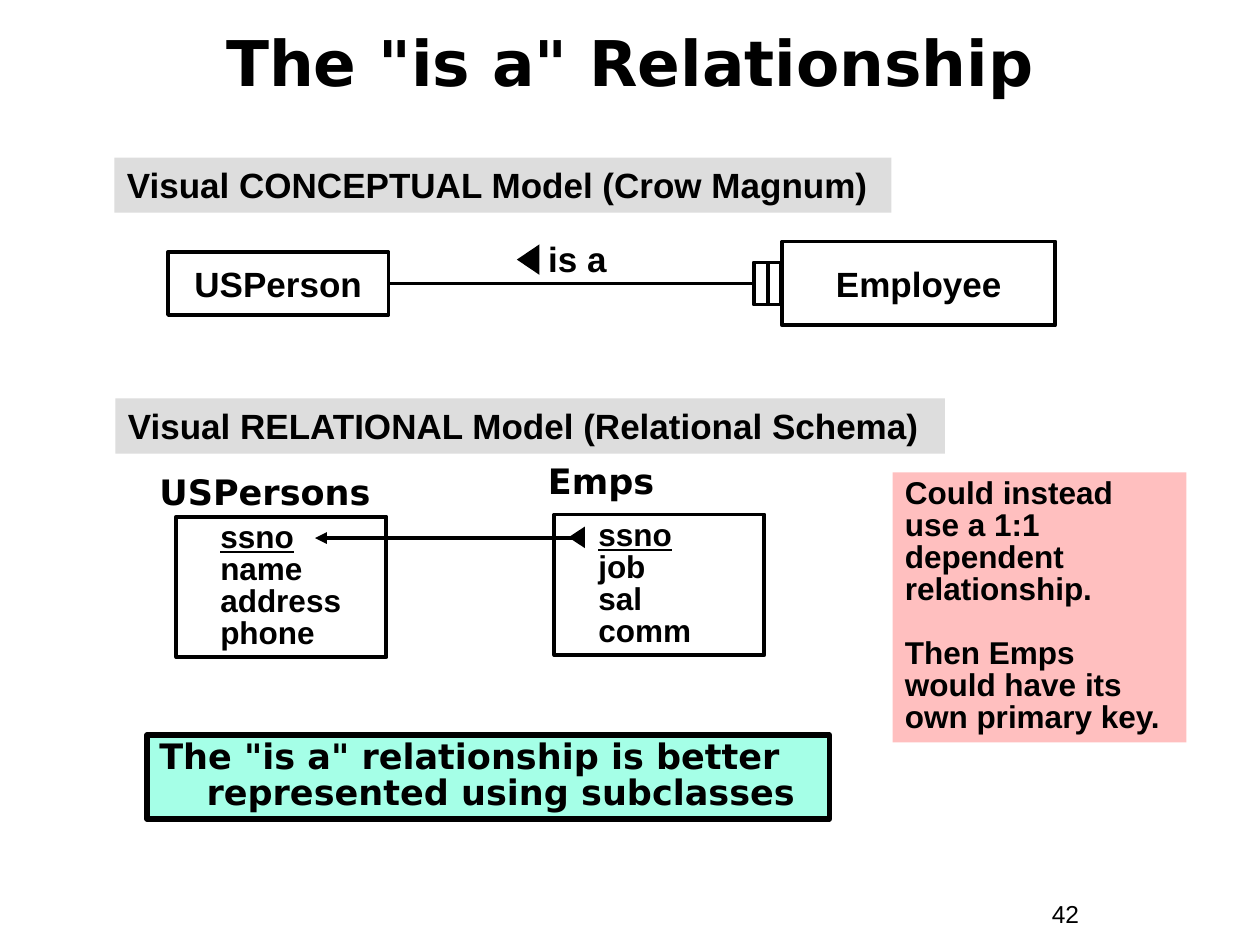
import pptx
import pptx.util
import pptx.dml.color
import pptx.enum.shapes
import pptx.enum.text
import pptx.oxml.ns
import lxml.etree

SHAPE = pptx.enum.shapes.MSO_SHAPE
ALIGN = pptx.enum.text.PP_ALIGN
ANCHOR = pptx.enum.text.MSO_ANCHOR
Pt = pptx.util.Pt

presentation = pptx.Presentation()
presentation.slide_width = pptx.util.Inches(10)
presentation.slide_height = pptx.util.Inches(7.5)
slide = presentation.slides.add_slide(presentation.slide_layouts[6])

# The grid has 120 columns and 90 rows
UNIT = presentation.slide_width / 120


def paint(color_format, color):
    color_format.rgb = pptx.dml.color.RGBColor.from_string(color)


def add_box(area, lines=(), fill=None, border=0, kind=SHAPE.RECTANGLE, size=20,
            face="Arial", bold=True, wrap=True, anchor=ANCHOR.TOP, indent=0,
            underline_first=False, **paragraph_format):
    shape = slide.shapes.add_shape(kind, *(round(value * UNIT) for value in area))
    shape.shadow.inherit = False
    if fill:
        shape.fill.solid()
        paint(shape.fill.fore_color, fill)
    else:
        shape.fill.background()
    if border:
        paint(shape.line.color, "000000")
        shape.line.width = Pt(border)
    else:
        shape.line.fill.background()
    frame = shape.text_frame
    frame.word_wrap = wrap
    frame.vertical_anchor = anchor
    for number, line in enumerate(lines):
        paragraph = frame.paragraphs[0] if number == 0 else frame.add_paragraph()
        paragraph.text = line
        settings = {"alignment": ALIGN.LEFT, **paragraph_format}
        if number == 0:
            settings.pop("space_before", None)
        for name, value in settings.items():
            setattr(paragraph, name, value)
        if indent:
            properties = paragraph._p.get_or_add_pPr()
            properties.set("marL", str(round(abs(indent) * UNIT)))
            properties.set("indent", str(round(min(indent, 0) * UNIT)))
        font_format = {"size": Pt(size), "name": face, "bold": bold,
                       "underline": underline_first and number == 0}
        for name, value in font_format.items():
            setattr(paragraph.font, name, value)
        paint(paragraph.font.color, "000000")
    return shape


# Title and page number
heading_face = "DejaVu Sans"
add_box((4, 1, 112, 11), ['The "is a" Relationship'], size=36, face=heading_face,
        anchor=ANCHOR.MIDDLE, alignment=ALIGN.CENTER, line_spacing=0.8)
add_box((99, 85, 11, 4), ["42"], size=14, bold=False)

# Section banners
for area, banner in [
    ((10.9, 15, 74, 5.25), "Visual CONCEPTUAL Model (Crow Magnum)"),
    ((11, 37.95, 79, 5.25), "Visual RELATIONAL Model (Relational Schema)"),
]:
    add_box(area, [banner], fill="DDDDDD")

# Conceptual model: entities, crow's foot boxes and relationship label
entity_format = {"border": 2.25, "wrap": False, "anchor": ANCHOR.MIDDLE,
                 "alignment": ALIGN.CENTER}
person = add_box((16, 24, 21, 6), ["USPerson"], **entity_format)
add_box((74.5, 23, 26, 8), ["Employee"], **entity_format)
add_box((73.1, 25, 1.3, 4), border=2.25)
outer_mark = add_box((71.8, 25, 1.3, 4), border=2.25)
add_box((51, 22, 8, 5.25), ["is a"], wrap=False, alignment=ALIGN.CENTER)

# Relational model: table names and columns
for name_area, name, table_area, columns in [
    ((14, 44.2, 25.8, 5.25), "USPersons", (16.8, 49.2, 20, 13.4),
     ["ssno", "name", "address", "phone"]),
    ((51, 43.2, 23, 5.25), "Emps", (52.8, 49, 20, 13.4),
     ["ssno", "job", "sal", "comm"]),
]:
    add_box(name_area, [name], face=heading_face)
    add_box(table_area, columns, border=2.25, size=18, indent=3,
            underline_first=True, line_spacing=0.85)

# Relationship line and foreign key arrow
connectors = []
for start, end, row in [(37, 71.8, 27), (55.6, 30, 51.25)]:
    connector = slide.shapes.add_connector(
        pptx.enum.shapes.MSO_CONNECTOR.STRAIGHT,
        *(round(value * UNIT) for value in (start, row, end, row)))
    paint(connector.line.color, "000000")
    connector.line.width = Pt(2.25)
    connectors.append(connector)
relationship, foreign_key = connectors
relationship.begin_connect(person, 3)
relationship.end_connect(outer_mark, 1)
lxml.etree.SubElement(foreign_key.line._get_or_add_ln(),
                      pptx.oxml.ns.qn("a:tailEnd"), type="triangle")
for connector in connectors:
    lxml.etree.SubElement(connector._element.spPr, pptx.oxml.ns.qn("a:effectLst"))

# Solid triangles pointing left
for area in [(48.85, 23.65, 2.9, 2.15), (53.9, 50.4, 2.05, 1.55)]:
    triangle = add_box(area, fill="000000", kind=SHAPE.ISOSCELES_TRIANGLE)
    triangle.rotation = 270

# Conclusion and side note
add_box((14, 70, 65, 8),
        ['The "is a" relationship is better represented using subclasses'],
        fill="A5FFE7", border=3, face=heading_face, indent=-4.5, line_spacing=0.85)
add_box((85, 45, 28, 25.7),
        ["Could instead use a 1:1 dependent relationship.",
         "Then Emps would have its own primary key."],
        fill="FFBFBF", size=18, line_spacing=0.85, space_before=Pt(18))

presentation.save("out.pptx")
